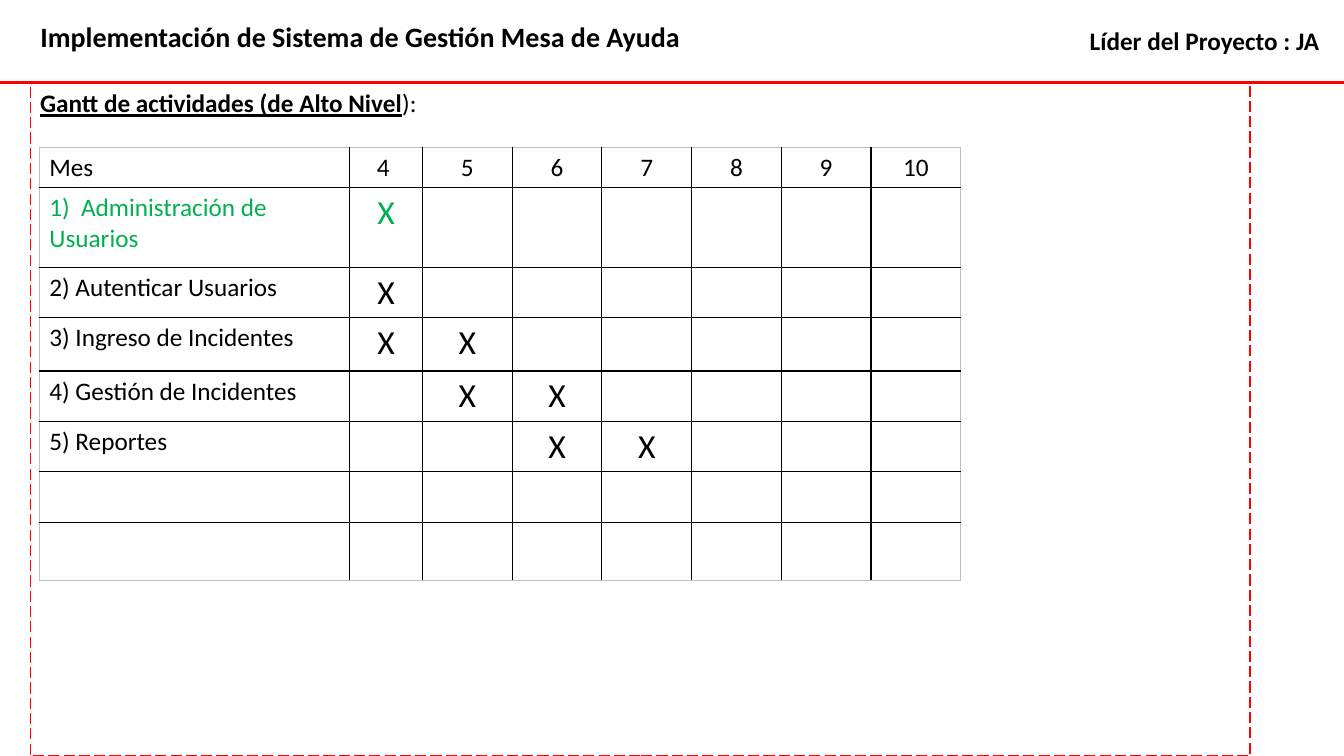
from lxml.etree import SubElement as Sub
from pptx import Presentation
from pptx.dml.color import RGBColor
from pptx.enum.dml import MSO_LINE as Dash
from pptx.enum.shapes import MSO_CONNECTOR as Wire, MSO_SHAPE as Shape
from pptx.enum.text import MSO_ANCHOR as Anchor, MSO_AUTO_SIZE as Fit, PP_ALIGN as Align
from pptx.oxml.ns import qn
from pptx.util import Inches, Pt

FONT = "Calibri"
BLACK, RED, GREEN, GREY = "000000", "FF0000", "00B050", "BFBFBF"
MONTHS = ["4 ", "5", "6", "7", "8", "9", "10"]
TASKS = [
    ("1)  Administración de Usuarios", [0], GREEN),
    ("2) Autenticar Usuarios", [0], BLACK),
    ("3) Ingreso de Incidentes", [0, 1], BLACK),
    ("4) Gestión de Incidentes", [1, 2], BLACK),
    ("5) Reportes", [2, 3], BLACK),
]
WIDTHS = [3.08, 0.72] + [0.89] * 6
HEIGHTS = [0.4, 0.79, 0.5, 0.53, 0.5, 0.5, 0.5, 0.58]


def color(code):
    return RGBColor.from_string(code)


def style(run, size=18, code=BLACK, bold=False, under=False):
    font = run.font
    font.name, font.size, font.bold, font.underline = FONT, Pt(size), bold, under
    font.color.rgb = color(code)


def write(frame, text, size=18, code=BLACK, bold=False, align=Align.LEFT):
    frame.text = text
    para = frame.paragraphs[0]
    para.alignment = align
    for run in para.runs:
        style(run, size, code, bold)


def add_title(slide, text):
    title = slide.shapes.title
    title.left, title.top = Inches(0.3), Inches(0.14)
    title.width, title.height = Inches(7.92), Inches(0.44)
    frame = title.text_frame
    frame.auto_size, frame.vertical_anchor = Fit.NONE, Anchor.TOP
    write(frame, text, 20, bold=True)


def add_rule(slide, top):
    rule = slide.shapes.add_connector(Wire.STRAIGHT, 0, Inches(top), Inches(13.33), Inches(top))
    rule.line.color.rgb = color(RED)
    rule.line.width = Pt(2.25)
    Sub(rule.element.spPr, qn("a:effectLst"))


def add_label(slide, text):
    box = slide.shapes.add_textbox(Inches(10.71), Inches(0.2), Inches(2.5), Inches(0.4))
    box.text_frame.word_wrap = False
    write(box.text_frame, text, bold=True)


def add_frame(slide, head, tail):
    box = slide.shapes.add_shape(Shape.RECTANGLE, Inches(0.3), Inches(0.82), Inches(12.1), Inches(6.68))
    box.shadow.inherit = False
    box.fill.background()
    box.line.color.rgb = color(RED)
    box.line.width, box.line.dash_style = Pt(1), Dash.LONG_DASH
    box.text_frame.vertical_anchor = Anchor.TOP
    para = box.text_frame.paragraphs[0]
    para.alignment = Align.LEFT
    for text, strong in [(head, True), (tail, False)]:
        run = para.add_run()
        run.text = text
        style(run, bold=strong, under=strong)


def set_edges(cell, row, col):
    props = cell._tc.get_or_add_tcPr()
    outer = {"L": col == 0, "R": col == len(WIDTHS) - 1,
             "T": row == 0, "B": row == len(HEIGHTS) - 1}
    for side, edge in outer.items():
        line = Sub(props, qn("a:ln" + side), w=str(Pt(1)))
        fill = Sub(line, qn("a:solidFill"))
        Sub(fill, qn("a:srgbClr"), val=GREY if edge else BLACK)


def add_gantt(slide):
    table = slide.shapes.add_table(len(HEIGHTS), len(WIDTHS), Inches(0.39), Inches(1.46),
                                   Inches(sum(WIDTHS)), Inches(sum(HEIGHTS))).table
    table.first_row = table.horz_banding = False
    for col, width in zip(table.columns, WIDTHS):
        col.width = Inches(width)
    for row, height in zip(table.rows, HEIGHTS):
        row.height = Inches(height)
    for r in range(len(HEIGHTS)):
        for c in range(len(WIDTHS)):
            cell = table.cell(r, c)
            set_edges(cell, r, c)
            cell.fill.background()
    write(table.cell(0, 0).text_frame, "Mes")
    for c, month in enumerate(MONTHS, 1):
        write(table.cell(0, c).text_frame, month, align=Align.CENTER)
    for r, (task, marks, code) in enumerate(TASKS, 1):
        write(table.cell(r, 0).text_frame, task, code=code)
        for mark in marks:
            write(table.cell(r, mark + 1).text_frame, "X", 24, code, align=Align.CENTER)


def main():
    deck = Presentation()
    deck.slide_width, deck.slide_height = Inches(13.33), Inches(7.5)
    slide = deck.slides.add_slide(deck.slide_layouts[5])
    add_title(slide, "Implementación de Sistema de Gestión Mesa de Ayuda")
    add_rule(slide, 0.82)
    add_label(slide, "Líder del Proyecto : JA")
    add_frame(slide, "Gantt de actividades (de Alto Nivel", "):")
    add_gantt(slide)
    deck.save("out.pptx")


if __name__ == "__main__":
    main()
